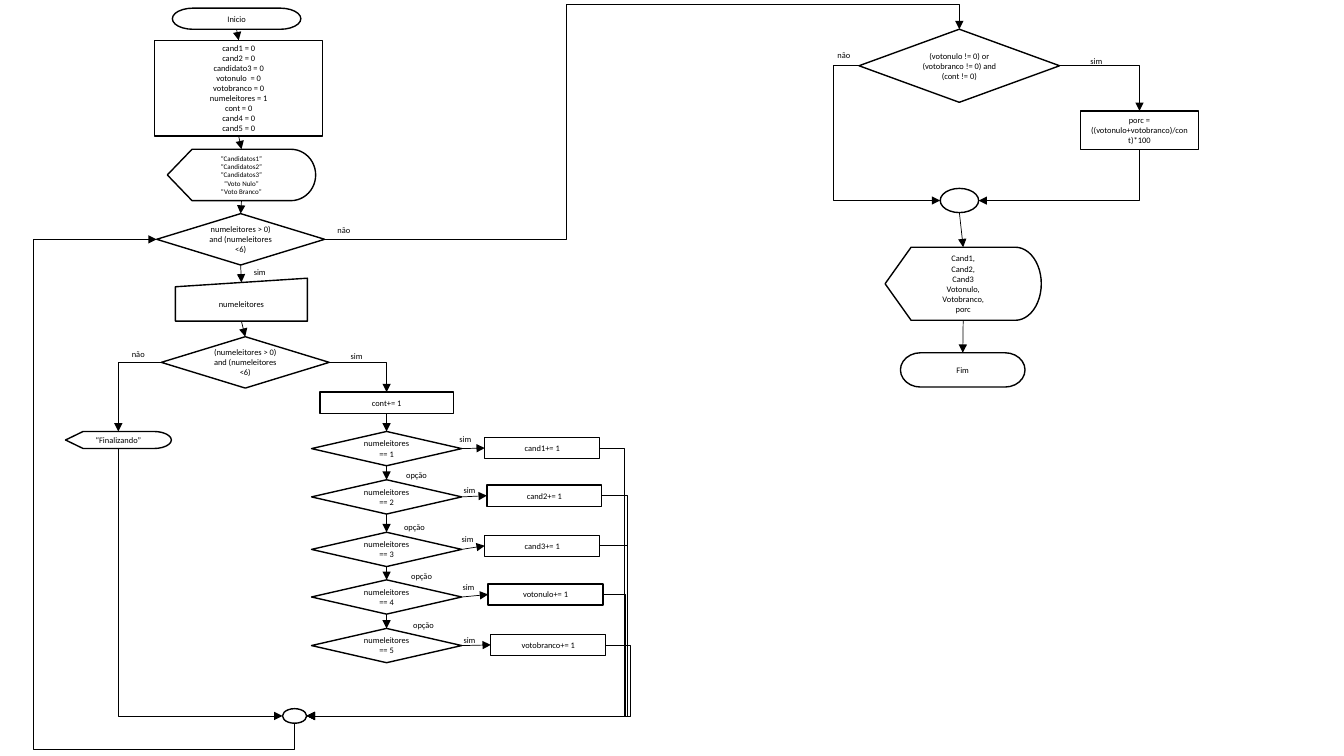
from lxml.etree import SubElement
from pptx import Presentation
from pptx.dml.color import RGBColor
from pptx.enum.shapes import MSO_CONNECTOR, MSO_SHAPE
from pptx.enum.text import MSO_ANCHOR, MSO_AUTO_SIZE, PP_ALIGN
from pptx.oxml.ns import qn
from pptx.util import Pt

BLACK = RGBColor(0, 0, 0)
WHITE = RGBColor(255, 255, 255)
TOP, LEFT, BOTTOM, RIGHT = range(4)

BOX = MSO_SHAPE.RECTANGLE
TEST = MSO_SHAPE.FLOWCHART_DECISION
SHOW = MSO_SHAPE.FLOWCHART_DISPLAY
PILL = MSO_SHAPE.FLOWCHART_TERMINATOR
ENTRY = MSO_SHAPE.FLOWCHART_MANUAL_INPUT
JOIN = MSO_SHAPE.FLOWCHART_CONNECTOR


class Chart:
    """Flowchart style and the slide it is drawn on."""

    def __init__(self, slide):
        """Keep the slide and the font."""
        self.shapes = slide.shapes
        self.font = "Calibri"

    def add_text(self, frame, lines, align, size=6):
        """Put each line in its own paragraph."""
        for i, line in enumerate(lines):
            para = frame.add_paragraph() if i else frame.paragraphs[0]
            para.alignment = align
            run = para.add_run()
            run.text = line
            run.font.name = self.font
            run.font.size = Pt(size)
            run.font.color.rgb = BLACK

    def node(self, kind, x, y, w, h, *lines, size=6):
        """Draw one flowchart step with centred text."""
        shape = self.shapes.add_shape(kind, Pt(x), Pt(y), Pt(w), Pt(h))
        shape.shadow.inherit = False
        shape.fill.solid()
        shape.fill.fore_color.rgb = WHITE
        shape.line.color.rgb = BLACK
        shape.line.width = Pt(1)
        frame = shape.text_frame
        frame.word_wrap = True
        frame.vertical_anchor = MSO_ANCHOR.MIDDLE
        self.add_text(frame, lines, PP_ALIGN.CENTER, size)
        return shape

    def label(self, text, x, y, w):
        """Name the branch beside an arrow."""
        box = self.shapes.add_textbox(Pt(x), Pt(y), Pt(w), Pt(14.4))
        box.text_frame.word_wrap = False
        box.text_frame.auto_size = MSO_AUTO_SIZE.SHAPE_TO_FIT_TEXT
        self.add_text(box.text_frame, [text], PP_ALIGN.LEFT)

    def site(self, node, side):
        """Return the point in the middle of a side."""
        x = node.left + {LEFT: 0, RIGHT: node.width}.get(side, node.width // 2)
        y = node.top + {TOP: 0, BOTTOM: node.height}.get(side, node.height // 2)
        if node.auto_shape_type == ENTRY and side == TOP:
            y += node.height // 10
        return x, y

    def arrow(self, kind, first, out, last, into):
        """Join two steps with a thin arrow."""
        start, end = self.site(first, out), self.site(last, into)
        line = self.shapes.add_connector(kind, *start, *end)
        line.line.color.rgb = BLACK
        line.line.width = Pt(0.5)
        props = line.element.spPr
        SubElement(props.find(qn("a:ln")), qn("a:tailEnd"), type="triangle")
        SubElement(props, qn("a:effectLst"))
        ends = line.element.find(".//" + qn("p:cNvCxnSpPr"))
        for tag, node, side in (("a:stCxn", first, out), ("a:endCxn", last, into)):
            step = 2 if node.auto_shape_type == JOIN else 1
            SubElement(ends, qn(tag), id=str(node.shape_id), idx=str(side * step))
        return line, start, end

    def link(self, first, last, out=BOTTOM, into=TOP):
        """Draw a straight arrow."""
        self.arrow(MSO_CONNECTOR.STRAIGHT, first, out, last, into)

    def elbow(self, first, out, last, into, *bends):
        """Draw a bent arrow; bends are the places where it turns."""
        line, start, end = self.arrow(MSO_CONNECTOR.ELBOW, first, out, last, into)
        axis = 1 if out in (TOP, BOTTOM) else 0
        gaps = [end[0] - start[0], end[1] - start[1]]
        if axis:
            dx, dy = gaps
            line.left = start[0] + (dx - abs(dy)) // 2
            line.top = start[1] + (dy - abs(dx)) // 2
            line.width, line.height = abs(dy), abs(dx)
            frame = line.element.spPr.find(qn("a:xfrm"))
            frame.set("rot", "5400000")
            frame.set("flipH", str(int(dy < 0)))
            frame.set("flipV", str(int(dx > 0)))
        shape = line.element.spPr.find(qn("a:prstGeom"))
        shape.set("prst", f"bentConnector{len(bends) + 2}")
        guides = shape.find(qn("a:avLst"))
        for i, bend in enumerate(bends):
            way = (axis + i) % 2
            part = round((Pt(bend) - start[way]) / gaps[way] * 100000)
            SubElement(guides, qn("a:gd"), name=f"adj{i + 1}", fmla=f"val {part}")


deck = Presentation()
deck.slide_width, deck.slide_height = Pt(960), Pt(540)
chart = Chart(deck.slides.add_slide(deck.slide_layouts[6]))
node, link, elbow = chart.node, chart.link, chart.elbow

# Reading the votes
begin = node(PILL, 123.1, 5.8, 91.8, 15.1, "Inicio")
setup = node(BOX, 110.5, 28.8, 120, 68.4, "cand1 = 0", "cand2 = 0",
             "candidato3 = 0", "votonulo  = 0", "votobranco = 0",
             "numeleitores = 1", "cont = 0", "cand4 = 0", "cand5 = 0")
menu = node(SHOW, 119.5, 106.6, 106, 36.7, "“Candidatos1”", "“Candidatos2”",
            "“Candidatos3”", "“Voto Nulo”", "“Voto Branco”", size=5)
loop = node(TEST, 111.9, 152.6, 120, 36.7, "numeleitores > 0) and (numeleitores <6)")
entry = node(ENTRY, 125.3, 198.7, 94.3, 30.7, "numeleitores")
valid = node(TEST, 115.2, 240.5, 120, 36.7,
             "(numeleitores > 0) and (numeleitores <6)")
done = node(SHOW, 46.8, 308.2, 75.6, 12.2, "“Finalizando”")
count = node(BOX, 228.5, 280.1, 95.3, 15.1, "cont+= 1")
back = node(JOIN, 201.8, 506.2, 17.3, 10.4)

# Percentage and result
check = node(TEST, 613.6, 20.9, 143.3, 52.2,
             "(votonulo != 0) or (votobranco != 0) and (cont != 0)")
share = node(BOX, 771.8, 79.2, 84.2, 27.4, "porc = ((votonulo+votobranco)/cont)*100")
merge = node(JOIN, 671.6, 134.6, 27.4, 17.3)
result = node(SHOW, 632.2, 176.6, 111.6, 52.2, "Cand1,", "Cand2,", "Cand3",
              "Votonulo,", "Votobranco,", "porc")
finish = node(PILL, 643.2, 252, 89, 24.5, "Fim")

# One test and one counter per option: name, test y, box x, box y, bend x
options = [
    ("cand1", 308.2, 346.3, 312.5, 445.7),
    ("cand2", 342.7, 347.8, 346.5, 447.8),
    ("cand3", 380.2, 346.3, 382.3, 447.8),
    ("votonulo", 414.2, 348.7, 417.1, 446.4),
    ("votobranco", 448.9, 350.6, 453.1, 450),
]
above = count
for i, (name, y, x, top, bend) in enumerate(options, 1):
    test = node(TEST, 222.5, y, 107.3, 24.5, f"numeleitores == {i}")
    box = node(BOX, x, top, 82.1, 15.1, f"{name}+= 1")
    link(above, test)
    link(test, box, RIGHT, LEFT)
    elbow(box, RIGHT, back, RIGHT, bend)
    above = test

steps = [begin, setup, menu, loop, entry, valid]
for first, last in zip(steps, steps[1:]):
    link(first, last)
link(merge, result)
link(result, finish)

elbow(valid, RIGHT, count, TOP)
elbow(valid, LEFT, done, TOP)
elbow(done, BOTTOM, back, LEFT)
elbow(back, BOTTOM, loop, LEFT, 535, 23.8)
elbow(loop, RIGHT, check, TOP, 404.6, 2.9)
elbow(check, RIGHT, share, TOP)
elbow(share, BOTTOM, merge, RIGHT)
elbow(check, LEFT, merge, LEFT, 595.4)

labels = {
    ("sim", 23): [(174.2, 187.2), (243.4, 247), (321.1, 306.7), (324, 342.7),
                  (322.6, 378), (323.3, 412.6), (324, 450), (771.8, 36.7)],
    ("não", 23.8): [(234, 157), (87.1, 246.2), (591.1, 32.4)],
    ("opção", 29.5): [(283, 331.9), (281.5, 369.4), (286.6, 404.6), (288, 439.2)],
}
for (text, wide), spots in labels.items():
    for x, y in spots:
        chart.label(text, x, y, wide)

deck.save("out.pptx")
